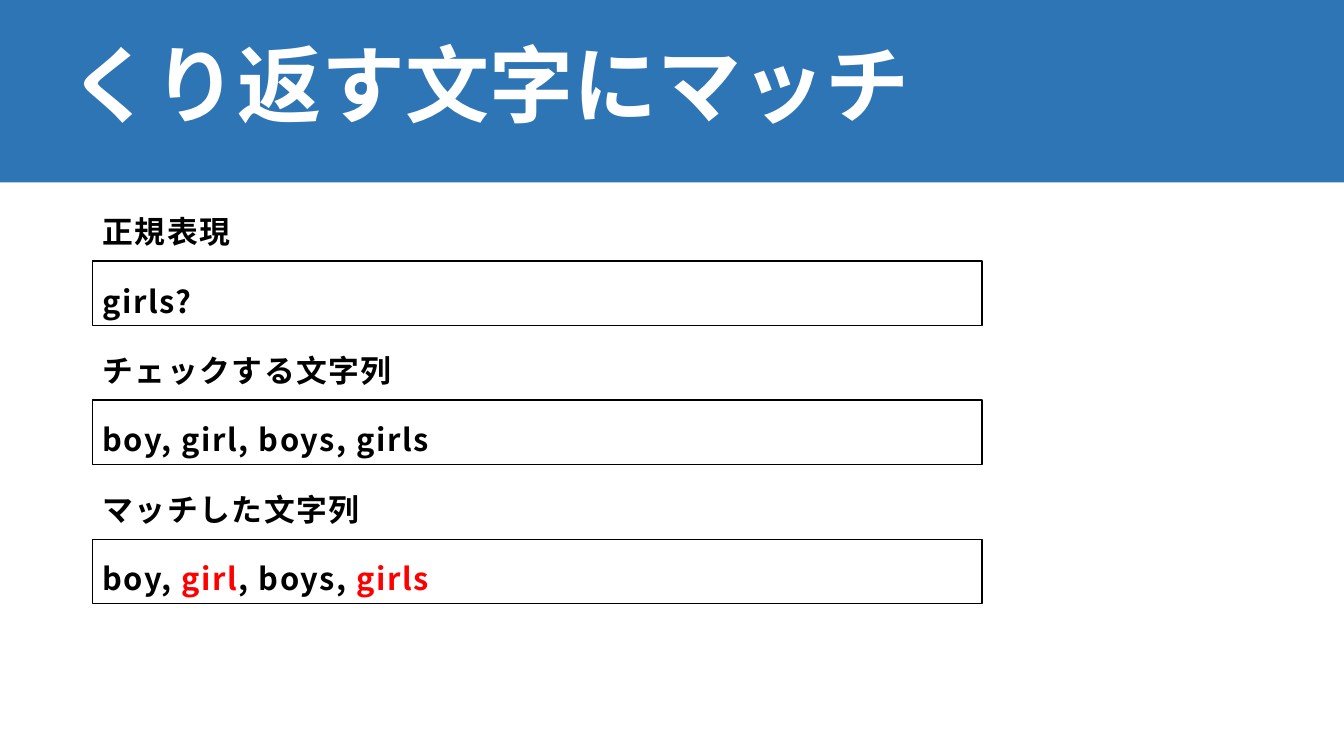
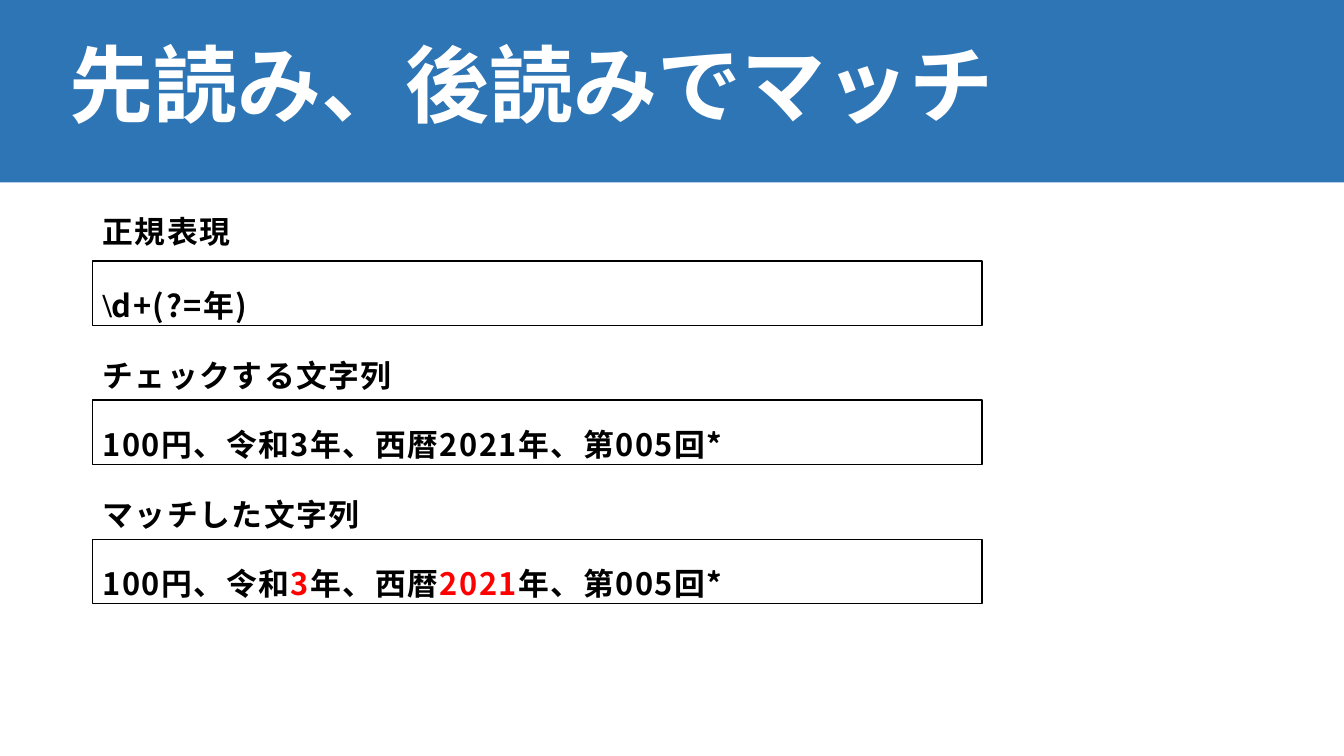
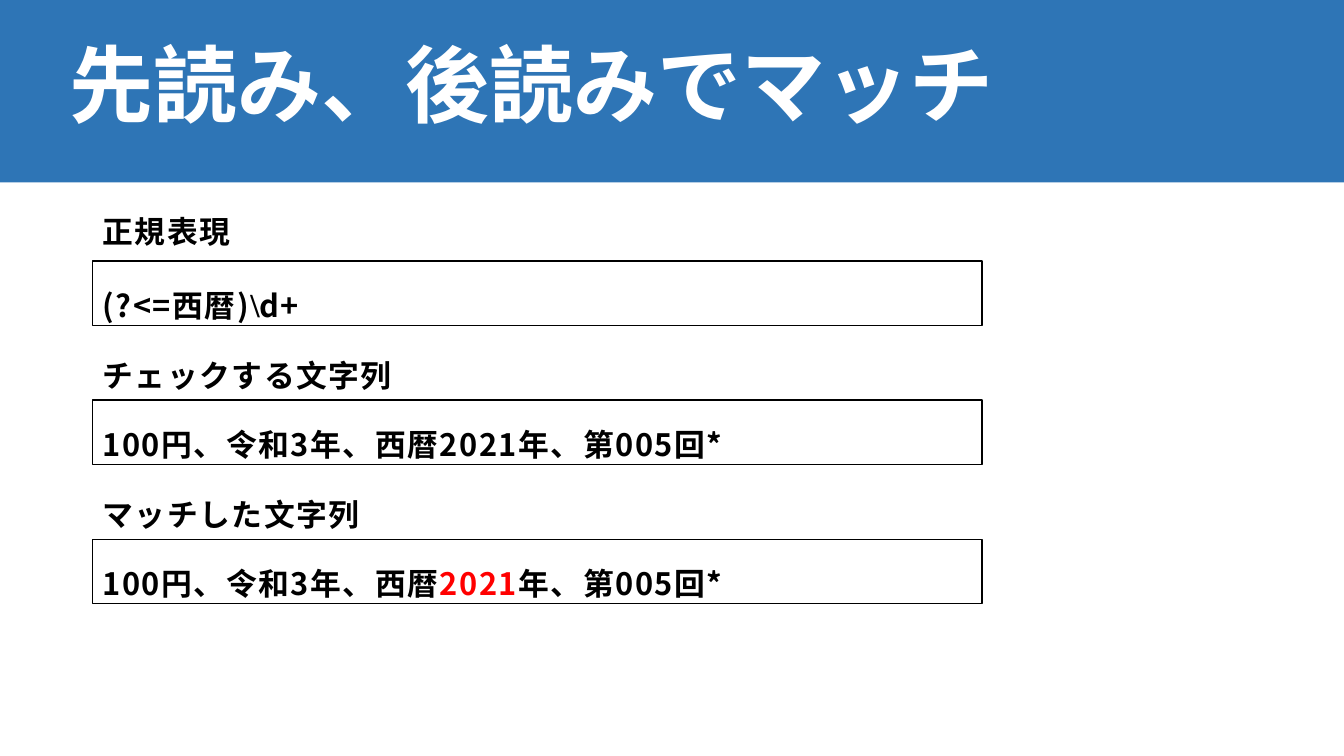
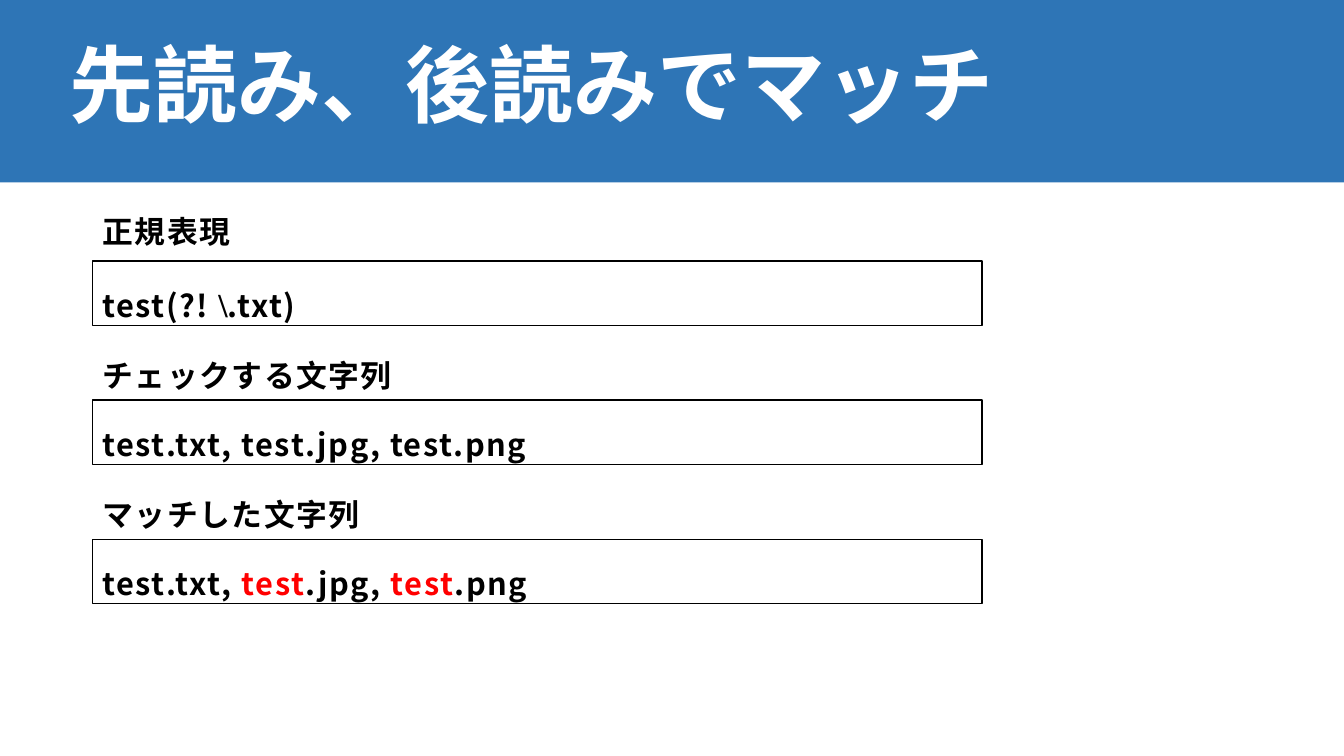
import dataclasses

import pptx
import pptx.dml.color
import pptx.enum.shapes
import pptx.enum.text
import pptx.oxml
import pptx.oxml.ns
import pptx.util

Inches = pptx.util.Inches
Pt = pptx.util.Pt


@dataclasses.dataclass(frozen=True)
class Theme:
    blue: str = "2E75B6"
    white: str = "FFFFFF"
    black: str = "000000"
    red: str = "FF0000"
    font: str = "Noto Sans CJK JP"
    backslash_font: str = "Times New Roman"
    title_size: int = 60
    body_size: int = 22
    backslash_size: int = 24
    tracking: float = 1.1


THEME = Theme()
HIT = {"color": THEME.red}
BACKSLASH = {"latin": THEME.backslash_font, "size": THEME.backslash_size, "tracking": 0}
LABELS = ("正規表現", "チェックする文字列", "マッチした文字列")
YEARS = "100円、令和3年、西暦2021年、第005回*"
LOOKAROUND = "先読み、後読みでマッチ"

# Each entry: title, runs of the pattern, checked string, runs of the result.
EXAMPLES = (
    (
        "くり返す文字にマッチ",
        [("girls?", {})],
        "boy, girl, boys, girls",
        [("boy, ", {}), ("girl", HIT), (", boys, ", {}), ("girls", HIT)],
    ),
    (
        LOOKAROUND,
        [("\\", BACKSLASH), ("d+(?=年)", {})],
        YEARS,
        [("100円、令和", {}), ("3", HIT), ("年、西暦", {}), ("2021", HIT),
         ("年、第005回*", {})],
    ),
    (
        LOOKAROUND,
        [("(?<=西暦)", {}), ("\\", BACKSLASH), ("d+", {})],
        YEARS,
        [("100円、令和3年、西暦", {}), ("2021", HIT), ("年、第005回*", {})],
    ),
    (
        LOOKAROUND,
        [("test(?!", {}), (" \\", BACKSLASH), (".txt)", {})],
        "test.txt, test.jpg, test.png",
        [("test.txt, ", {}), ("test", HIT), (".jpg, ", {}), ("test", HIT),
         (".png", {})],
    ),
)


def rgb(color):
    return pptx.dml.color.RGBColor.from_string(color)


def add_run(paragraph, text, *, size=THEME.body_size, color=THEME.black,
            latin=THEME.font, tracking=THEME.tracking):
    run = paragraph.add_run()
    run.text = text
    run.font.size = Pt(size)
    run.font.bold = True
    run.font.color.rgb = rgb(color)
    run.font.name = latin
    properties = run._r.get_or_add_rPr()
    properties.set("spc", str(round(tracking * 100)))
    east_asian = pptx.oxml.parse_xml(
        f'<a:ea {pptx.oxml.ns.nsdecls("a")} typeface="{THEME.font}"/>'
    )
    properties.find(pptx.oxml.ns.qn("a:latin")).addnext(east_asian)


class Deck:
    def __init__(self):
        self.presentation = pptx.Presentation()
        self.presentation.slide_width = Inches(13.33)
        self.presentation.slide_height = Inches(7.5)
        self.slide = None

    def new_slide(self, title):
        layout = self.presentation.slide_layouts[6]
        self.slide = self.presentation.slides.add_slide(layout)
        self.rectangle(0, 0, 13.33, 1.81, fill=THEME.blue)
        frame = self.text_frame(0.59, 0.16, 11.5, 1.45)
        frame.vertical_anchor = pptx.enum.text.MSO_ANCHOR.MIDDLE
        paragraph = frame.paragraphs[0]
        paragraph.line_spacing = 0.9
        add_run(paragraph, title, size=THEME.title_size, color=THEME.white, tracking=0)

    def rectangle(self, left, top, width, height, *, fill=None, line=None):
        shape = self.slide.shapes.add_shape(
            pptx.enum.shapes.MSO_SHAPE.RECTANGLE,
            Inches(left), Inches(top), Inches(width), Inches(height),
        )
        shape.shadow.inherit = False
        if fill:
            shape.fill.solid()
            shape.fill.fore_color.rgb = rgb(fill)
        else:
            shape.fill.background()
        if line:
            shape.line.color.rgb = rgb(line)
            shape.line.width = Pt(1)
        else:
            shape.line.fill.background()

    def text_frame(self, left, top, width, height):
        box = self.slide.shapes.add_textbox(
            Inches(left), Inches(top), Inches(width), Inches(height)
        )
        box.text_frame.word_wrap = True
        return box.text_frame

    def body(self, lines):
        """Write one paragraph for each list of (text, format) runs."""
        frame = self.text_frame(0.92, 1.88, 11.5, 4.76)
        for index, runs in enumerate(lines):
            paragraph = frame.add_paragraph() if index else frame.paragraphs[0]
            paragraph.line_spacing = 1.5
            if index:
                paragraph.space_before = Pt(10)
            for text, style in runs:
                add_run(paragraph, text, **style)

    def example(self, title, pattern, checked, result):
        self.new_slide(title)
        lines = []
        for label, runs in zip(LABELS, (pattern, [(checked, {})], result)):
            lines += [[(label, {})], runs]
        self.body(lines)
        for row in range(len(LABELS)):
            self.rectangle(0.92, 2.59 + 1.38 * row, 8.82, 0.64, line=THEME.black)


def main():
    deck = Deck()
    for example in EXAMPLES:
        deck.example(*example)
    deck.presentation.save("out.pptx")


if __name__ == "__main__":
    main()
